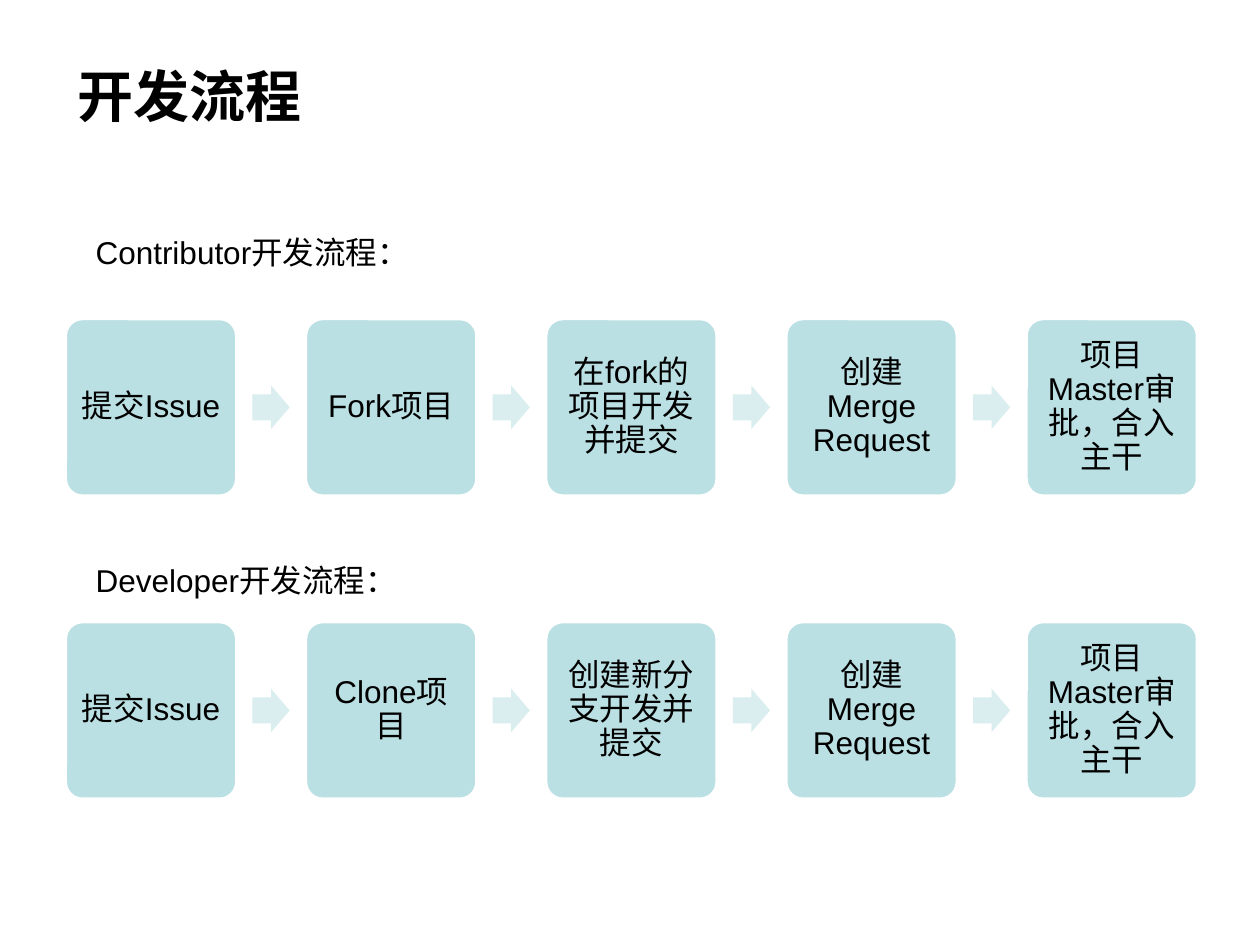
from lxml import etree
from pptx import Presentation
from pptx.dml.color import RGBColor
from pptx.enum.shapes import MSO_SHAPE
from pptx.enum.text import MSO_ANCHOR, PP_ALIGN
from pptx.oxml.ns import qn
from pptx.util import Pt

ROUNDED = MSO_SHAPE.ROUNDED_RECTANGLE
ARROW = MSO_SHAPE.RIGHT_ARROW
MIDDLE = MSO_ANCHOR.MIDDLE
CENTER = PP_ALIGN.CENTER

BLACK = RGBColor(0x00, 0x00, 0x00)
WHITE = RGBColor(0xFF, 0xFF, 0xFF)
STEP_FILL = RGBColor(0xBB, 0xE0, 0xE3)
ARROW_FILL = RGBColor(0xDA, 0xED, 0xEF)
LATIN_FONT = "Arial"
CJK_FONT = "Noto Sans CJK SC"

STEP_W, ARROW_W, ARROW_H = 98, 21.2, 24.8

CONTRIBUTOR_STEPS = ["提交Issue", "Fork项目", "在fork的项目开发并提交",
                     "创建Merge Request", "项目Master审批，合入主干"]
DEVELOPER_STEPS = ["提交Issue", "Clone项目", "创建新分支开发并提交",
                   "创建Merge Request", "项目Master审批，合入主干"]


def write(tf, text, size=18, font=LATIN_FONT, bold=False):
    """Fill the frame with one paragraph, naming its Latin and East Asian fonts."""
    tf.word_wrap = True
    p = tf.paragraphs[0]
    r = p.add_run()
    r.text = text
    r.font.name = font
    r.font.size = Pt(size)
    r.font.bold = bold
    r.font.color.rgb = BLACK
    ea = etree.SubElement(r.font._element, qn("a:ea"))
    ea.set("typeface", CJK_FONT)
    return p


def add_text(slide, text, left, top, width, height, **style):
    s = slide.shapes.add_textbox(Pt(left), Pt(top), Pt(width), Pt(height))
    write(s.text_frame, text, **style)


def add_block(slide, kind, color, left, top, width, height):
    s = slide.shapes.add_shape(kind, Pt(left), Pt(top), Pt(width), Pt(height))
    s.shadow.inherit = False
    s.fill.solid()
    s.fill.fore_color.rgb = color
    s.line.fill.background()
    return s


def add_step(slide, text, left, top, height):
    s = add_block(slide, ROUNDED, STEP_FILL, left, top, STEP_W, height)
    s.adjustments[0] = 0.1
    s.line.color.rgb = WHITE
    s.line.width = Pt(2)
    tf = s.text_frame
    tf.margin_left = tf.margin_right = tf.margin_top = tf.margin_bottom = Pt(5)
    tf.vertical_anchor = MIDDLE
    p = write(tf, text)
    p.alignment = CENTER
    p.line_spacing = 0.9


def add_flow(slide, steps, left, top, width, height):
    """Spread the steps evenly over the box, with an arrow centred in each gap."""
    pitch = (width - STEP_W) / (len(steps) - 1)
    arrow_dx = (STEP_W + pitch - ARROW_W) / 2
    arrow_top = top + (height - ARROW_H) / 2
    for i, text in enumerate(steps):
        x = left + i * pitch
        add_step(slide, text, x, top, height)
        if i < len(steps) - 1:
            s = add_block(slide, ARROW, ARROW_FILL, x + arrow_dx, arrow_top,
                          ARROW_W, ARROW_H)
            s.adjustments[0] = 0.6
            s.adjustments[1] = 0.5


def main():
    prs = Presentation()
    prs.slide_width, prs.slide_height = Pt(720), Pt(540)
    slide = prs.slides.add_slide(prs.slide_layouts[6])

    add_text(slide, "开发流程", 37, 31.5, 648, 90, size=32, font=CJK_FONT, bold=True)
    add_flow(slide, CONTRIBUTOR_STEPS, 37.3, 182, 647, 101.5)
    add_flow(slide, DEVELOPER_STEPS, 37.3, 355.2, 647, 101.5)
    add_text(slide, "Contributor开发流程：", 47.5, 129.8, 258.5, 29)
    add_text(slide, "Developer开发流程：", 47.5, 317.3, 258.5, 29)

    prs.save("out.pptx")


if __name__ == "__main__":
    main()
